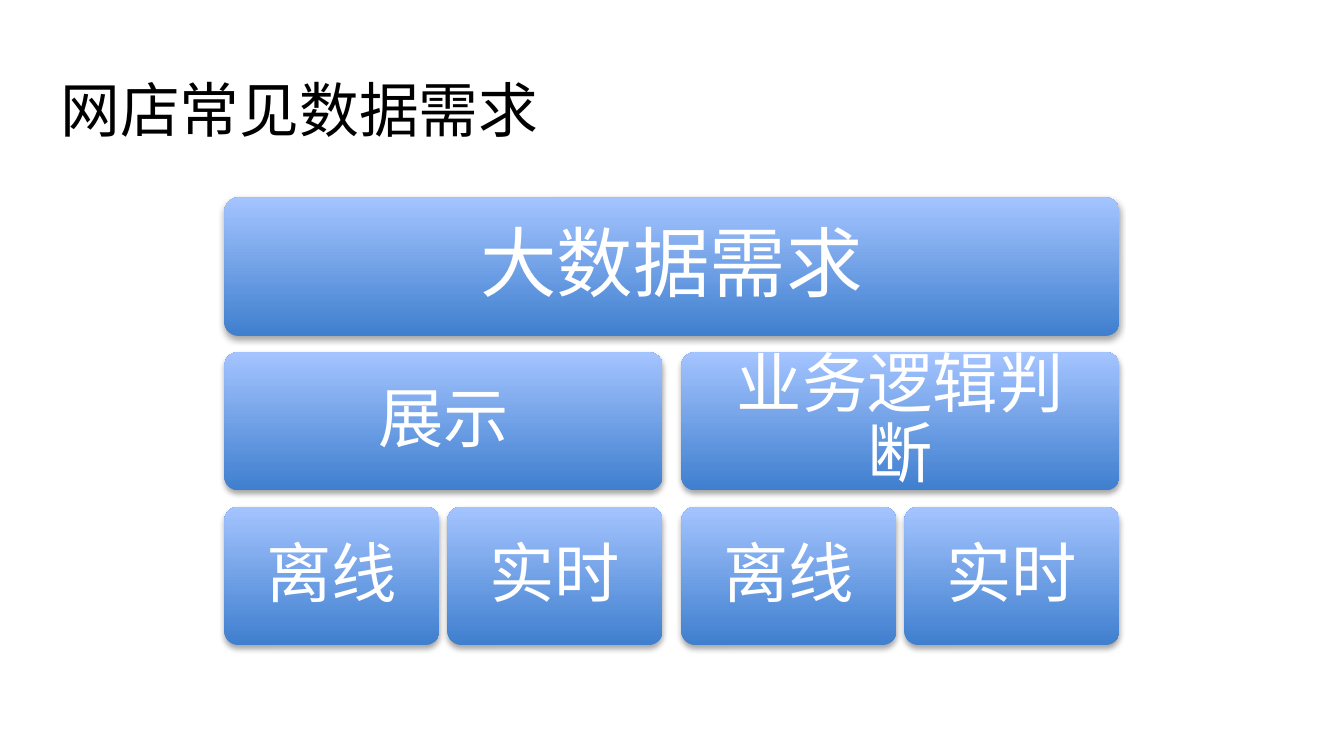
from lxml import etree
from pptx import Presentation
from pptx.dml.color import RGBColor
from pptx.enum.shapes import MSO_SHAPE as Shape
from pptx.enum.text import MSO_ANCHOR as Anchor, MSO_AUTO_SIZE as AutoSize, PP_ALIGN as Align
from pptx.oxml import parse_xml
from pptx.oxml.ns import nsdecls, qn
from pptx.util import Inches, Pt

SHADOW = f"""<a:outerShdw {nsdecls("a")} blurRad="40000" dist="23000" dir="5400000" rotWithShape="0">
<a:srgbClr val="000000"><a:alpha val="35000"/></a:srgbClr></a:outerShdw>"""


def style(para, font_name, size, color):
    for span in para.runs:
        span.font.name = font_name
        span.font.size = Pt(size)
        span.font.color.rgb = RGBColor.from_string(color)


def add_block(page, text, left, top, width, size, inset):
    block = page.shapes.add_shape(
        Shape.ROUNDED_RECTANGLE, Inches(left), Inches(top), Inches(width), Inches(1.03))
    block.adjustments[0] = 0.1
    block.fill.gradient()
    block.fill.gradient_angle = 90
    for stop, color in zip(block.fill.gradient_stops, ("3F7FCE", "A4C4FF")):
        stop.color.rgb = RGBColor.from_string(color)
    block.line.fill.background()
    block.shadow.inherit = False
    block._element.spPr.find(qn("a:effectLst")).append(parse_xml(SHADOW))

    frame = block.text_frame
    frame.text = text
    frame.word_wrap = True
    frame.vertical_anchor = Anchor.MIDDLE
    frame.margin_left = frame.margin_right = Inches(inset)
    frame.margin_top = frame.margin_bottom = Inches(inset)
    para = frame.paragraphs[0]
    para.alignment = Align.CENTER
    para.line_spacing = 0.9
    space_after = etree.SubElement(para._p.get_or_add_pPr(), qn("a:spcAft"))
    etree.SubElement(space_after, qn("a:spcPct")).set("val", "35000")
    style(para, "Calibri", size, "FFFFFF")


deck = Presentation()
deck.slide_width = Inches(10)
deck.slide_height = Inches(10 * 9 / 16)
page = deck.slides.add_slide(deck.slide_layouts[6])

left, top, row_step = 1.67, 1.47, 1.15
branch_width, branch_step = 3.26, 3.4
leaf_width, leaf_step = 1.6, 1.66

add_block(page, "大数据需求", left, top, branch_step + branch_width, 41, 0.17)
for branch, branch_text in enumerate(("展示", "业务逻辑判断")):
    branch_left = left + branch * branch_step
    add_block(page, branch_text, branch_left, top + row_step, branch_width, 35, 0.15)
    for leaf, leaf_text in enumerate(("离线", "实时")):
        add_block(page, leaf_text, branch_left + leaf * leaf_step,
                  top + 2 * row_step, leaf_width, 35, 0.15)

title = page.shapes.add_textbox(Inches(0.35), Inches(0.49), Inches(3.79), Inches(0.64))
title.text_frame.text = "网店常见数据需求"
title.text_frame.word_wrap = False
title.text_frame.auto_size = AutoSize.SHAPE_TO_FIT_TEXT
style(title.text_frame.paragraphs[0], "Noto Sans CJK SC", 32, "000000")

deck.save("out.pptx")
